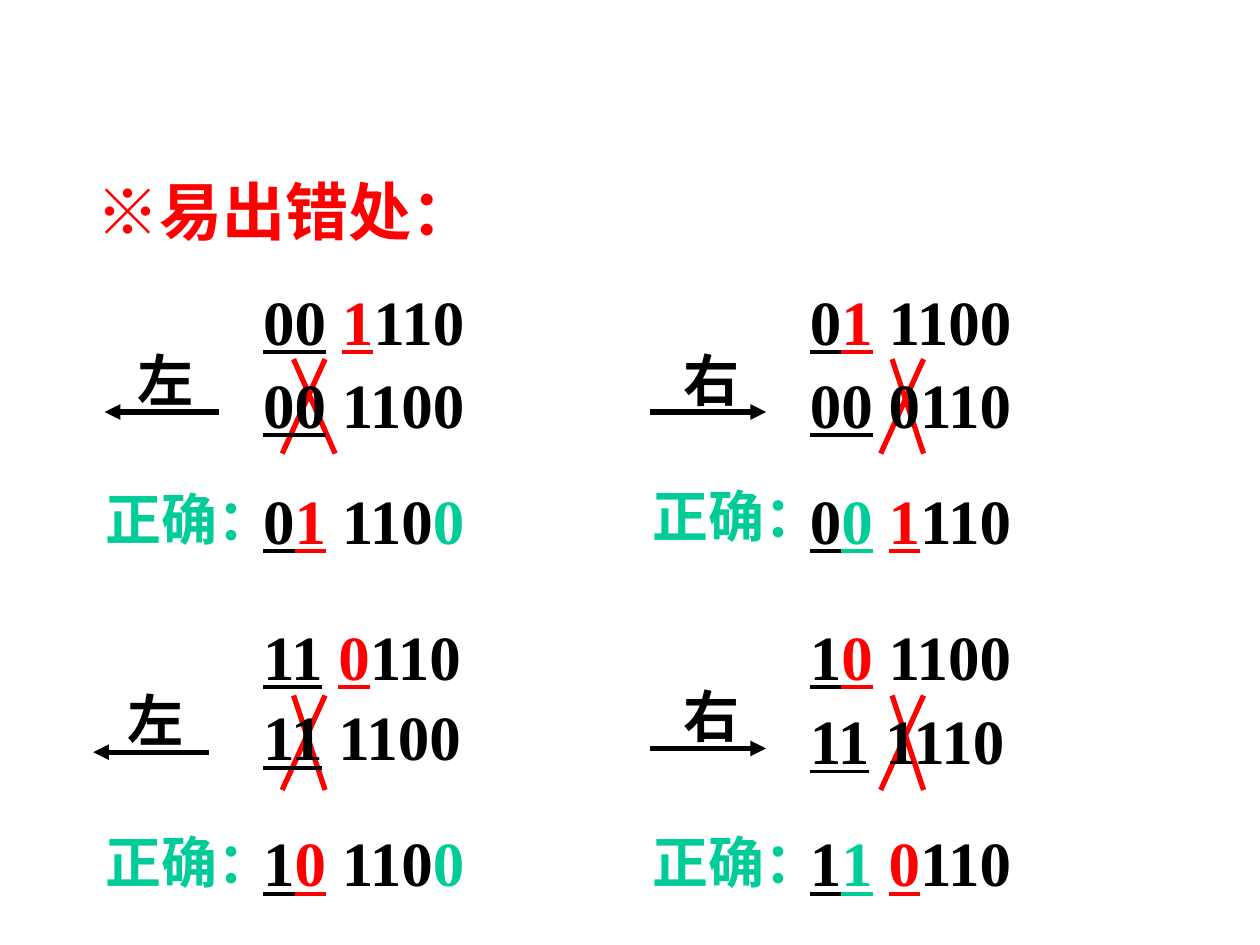
"""Build a slide on common mistakes when shifting binary numbers left and right."""
from lxml.etree import SubElement
from pptx import Presentation
from pptx.dml.color import RGBColor
from pptx.enum.shapes import MSO_CONNECTOR as Connector
from pptx.enum.text import MSO_AUTO_SIZE as AutoSize
from pptx.oxml.ns import qn
from pptx.util import Inches, Pt

BLACK, RED, GREEN = "000000", "FF0000", "00CC99"
LATIN, CHINESE = "Times New Roman", "Noto Sans CJK SC"


def colour(value):
    return RGBColor.from_string(value)


class ShiftSlide:
    def __init__(self, slide):
        self.slide = slide

    def text(self, left, top, width, height, runs, size=36, font=LATIN, shapes=None):
        """Add a text box whose runs are (text, colour, underlined) tuples."""
        shapes = shapes or self.slide.shapes
        box = shapes.add_textbox(*map(Inches, (left, top, width, height)))
        frame = box.text_frame
        frame.word_wrap = True
        frame.auto_size = AutoSize.SHAPE_TO_FIT_TEXT
        paragraph = frame.paragraphs[0]
        for content, ink, underline in runs:
            run = paragraph.add_run()
            run.text = content
            style = {"size": Pt(size), "bold": True, "name": font, "underline": underline}
            for name, value in style.items():
                setattr(run.font, name, value)
            run.font.color.rgb = colour(ink)
            run.font._element.find(qn("a:latin")).addnext(
                SubElement(run.font._element, qn("a:ea"), typeface=CHINESE))

    def line(self, start, end, ink, arrow=False, shapes=None):
        shapes = shapes or self.slide.shapes
        connector = shapes.add_connector(Connector.STRAIGHT, *map(Inches, start + end))
        connector.line.width = Pt(3)
        connector.line.color.rgb = colour(ink)
        if arrow:
            SubElement(connector.line._get_or_add_ln(), qn("a:tailEnd"), type="triangle")
        SubElement(connector._element.spPr, qn("a:effectLst"))

    def cross(self, left, top, lower_left, lower_right):
        """Strike out a wrong answer with two crossing lines."""
        bottom = top + 0.75
        self.line((left + 0.25, top), (lower_left, bottom), RED)
        self.line((left, top), (lower_right, bottom), RED)

    def direction(self, word, left, top, tail, tip, width):
        """Group a direction word with the arrow beneath it."""
        shapes = self.slide.shapes.add_group_shape().shapes
        self.text(left, top, width, 0.64, [(word, BLACK, False)], 32, shapes=shapes)
        self.line((tail, top + 0.58), (tip, top + 0.58), BLACK, True, shapes)

    def example(self, left, question, cross, wrong, label, answer):
        """Add a number, its struck-out wrong shift and the right answer."""
        self.text(left, *question)
        self.cross(*cross)
        self.text(left, *wrong)
        self.text(*label, 1.58, 0.64, [("正确：", GREEN, False)], 32)
        self.text(left, *answer)


def wrong_runs(sign, digits):
    return [(sign, BLACK, True), (f" {digits}", BLACK, False)]


def split_runs(sign, first, rest):
    return [(sign, BLACK, True), (" ", BLACK, False), (first, RED, True), (rest, BLACK, False)]


def overflow_runs(sign, lost, rest, filled=""):
    runs = [(sign, BLACK, True), (lost, RED, True), (f" {rest}", BLACK, False)]
    return runs + ([(filled, GREEN, False)] if filled else [])


def filled_runs(sign, filled, first, rest):
    head, *tail = split_runs(sign, first, rest)
    return [head, (filled, GREEN, True), *tail]


def main():
    presentation = Presentation()
    presentation.slide_width, presentation.slide_height = Inches(10), Inches(7.5)
    page = ShiftSlide(presentation.slides.add_slide(presentation.slide_layouts[6]))

    page.text(0.67, 1.32, 3.14, 0.7, [("※易出错处：", RED, False)], font=CHINESE)
    for word, left, top, tail, tip, width in (
        ("左", 0.99, 2.69, 1.74, 0.83, 0.75),
        ("右", 5.33, 2.69, 5.16, 6.08, 0.5),
        ("左", 0.91, 5.39, 1.66, 0.74, 0.75),
        ("右", 5.33, 5.36, 5.16, 6.08, 0.5),
    ):
        page.direction(word, left, top, tail, tip, width)

    page.example(1.99, (2.19, 2.33, 1.3, split_runs("00", "1", "110")),
                 (2.33, 2.85, 2.24, 2.66),
                 (2.85, 2.67, 0.7, wrong_runs("00", "1100")), (0.74, 3.8),
                 (3.77, 2.67, 0.7, overflow_runs("0", "1", "110", "0")))
    page.example(6.33, (2.19, 2.58, 0.7, overflow_runs("0", "1", "1100")),
                 (7.08, 2.85, 6.99, 7.33),
                 (2.85, 2.5, 0.7, wrong_runs("00", "0110")), (5.08, 3.77),
                 (3.77, 2.5, 0.7, filled_runs("0", "0", "1", "110")))
    page.example(1.99, (4.85, 2.17, 1.3, split_runs("11", "0", "110")),
                 (2.33, 5.52, 2.24, 2.58),
                 (5.49, 2.33, 0.7, wrong_runs("11", "1100")), (0.74, 6.52),
                 (6.49, 2.33, 0.7, overflow_runs("1", "0", "110", "0")))
    page.example(6.33, (4.85, 2.17, 0.7, overflow_runs("1", "0", "1100")),
                 (7.08, 5.52, 6.99, 7.33),
                 (5.52, 2.58, 0.7, wrong_runs("11", "1110")), (5.08, 6.52),
                 (6.49, 2.58, 0.7, filled_runs("1", "1", "0", "110")))
    presentation.save("out.pptx")


if __name__ == "__main__":
    main()
